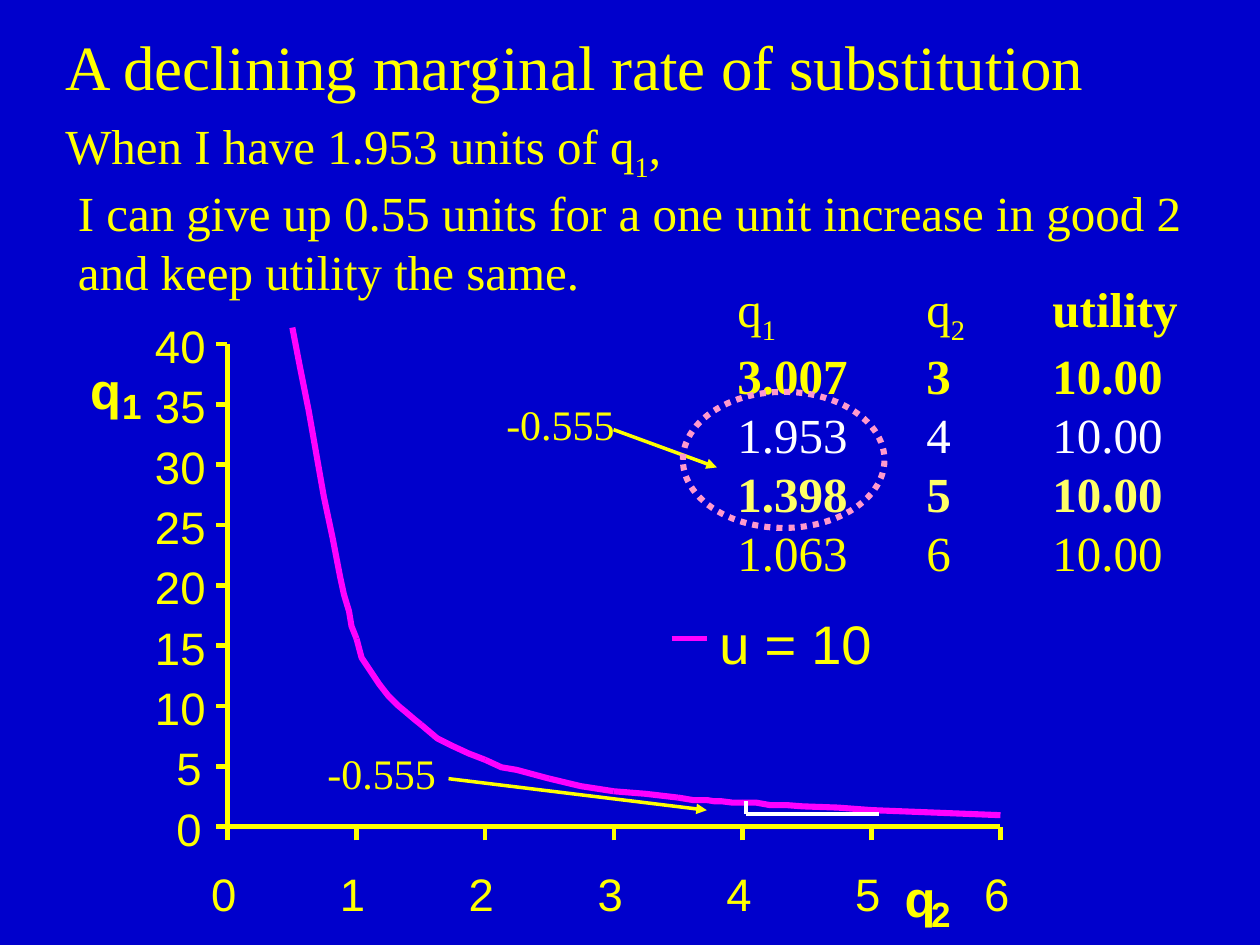
from lxml import etree
from pptx import Presentation
from pptx import util as u
from pptx.dml.color import RGBColor
from pptx.enum import dml, shapes, text
from pptx.oxml.ns import qn

NAVY = RGBColor(0x00, 0x00, 0xCC)
YELLOW = RGBColor(0xFF, 0xFF, 0x00)
PALE_YELLOW = RGBColor(0xFF, 0xFF, 0x66)
WHITE = RGBColor(0xFF, 0xFF, 0xFF)
MAGENTA = RGBColor(0xFF, 0x00, 0xFF)
PINK = RGBColor(0xFF, 0x99, 0xCC)
SERIF, SANS = "Times New Roman", "Arial"

prs = Presentation()
prs.slide_width, prs.slide_height = u.Inches(10), u.Inches(7.5)
CELL = prs.slide_width // 100  # grid of 100 columns by 75 rows
s = prs.slides.add_slide(prs.slide_layouts[6])
s.background.fill.solid()
s.background.fill.fore_color.rgb = NAVY


def add_line(x1, y1, x2, y2, color, width, arrow=False):
    ends = [round(v * CELL) for v in (x1, y1, x2, y2)]
    sp = s.shapes.add_connector(shapes.MSO_CONNECTOR.STRAIGHT, *ends)
    sp.line.color.rgb = color
    sp.line.width = u.Pt(width)
    if arrow:
        etree.SubElement(sp.line._get_or_add_ln(), qn("a:tailEnd"), type="triangle")
    etree.SubElement(sp._element.spPr, qn("a:effectLst"))


def add_text(box, paragraphs, size, name=SERIF, inset=1, tabs=(), wrap=False):
    """Each paragraph is a list of (text, font values); "sub" marks a subscript."""
    sp = s.shapes.add_textbox(*[round(v * CELL) for v in box])
    tf = sp.text_frame
    frame = {"word_wrap": wrap, "auto_size": text.MSO_AUTO_SIZE.SHAPE_TO_FIT_TEXT,
             "margin_left": inset * CELL, "margin_right": inset * CELL,
             "margin_top": inset * CELL // 2, "margin_bottom": inset * CELL // 2}
    for key, value in frame.items():
        setattr(tf, key, value)
    for i, runs in enumerate(paragraphs):
        p = tf.add_paragraph() if i else tf.paragraphs[0]
        if tabs:
            tab_list = etree.SubElement(p._p.get_or_add_pPr(), qn("a:tabLst"))
            for pos in tabs:
                etree.SubElement(tab_list, qn("a:tab"), pos=str(pos * CELL), algn="l")
        for words, values in runs:
            r = p.add_run()
            r.text = words
            look = {"size": u.Pt(size), "name": name, "bold": False, **values}
            r.font.color.rgb = look.pop("color", YELLOW)
            if look.pop("sub", False):
                r._r.get_or_add_rPr().set("baseline", "-25000")
            for key, value in look.items():
                setattr(r.font, key, value)
    return tf


# Axes: q2 runs 0 to 6 across, q1 runs 0 to 40 upwards
LEFT, RIGHT, TOP, BASE = 18.05, 79.4, 27.3, 65.6
X_STEP, Y_STEP = (RIGHT - LEFT) / 6, (BASE - TOP) / 8
add_line(LEFT, TOP, LEFT, BASE, YELLOW, 2.64)
add_line(LEFT, BASE, RIGHT, BASE, YELLOW, 2.64)
for i in range(9):
    y = BASE - i * Y_STEP
    label = str(i * 5)
    add_line(LEFT - 0.9, y, LEFT, y, YELLOW, 2.64)
    add_text((15.7 - 1.7 * len(label), y - 2.05, 2.1 * len(label), 4.3),
             [[(label, {})]], 26, SANS, 0)
for i in range(7):
    x = LEFT + i * X_STEP
    add_line(x, BASE + 1.1, x, BASE, YELLOW, 2.64)
    add_text((x - 1.3, 68.75, 2.1, 4.3), [[(str(i), {})]], 26, SANS, 0)

# Axis titles
for x, y, gap, index in ((71.8, 68.75, 2.1, "2"), (7.15, 28.5, 2.55, "1")):
    add_text((x, y, 2.5, 4.8), [[("q", {"bold": True})]], 29, SANS, 0)
    add_text((x + gap, y + 2.05, 1.6, 3.3), [[(index, {"bold": True})]], 20, SANS, 0)

# Indifference curve, piece by piece, each starting where the last one ended
CURVE = [
    [(23.8, 29.1), (24.5, 32.6), (25.1, 36), (25.7, 39.4), (26.4, 42.7),
     (27, 45.8), (27.3, 47.2), (27.7, 48.5), (27.9, 49.7), (28.3, 50.7)],
    [(28.7, 52.2), (29.5, 53.4), (30.1, 54.3), (30.8, 55.2), (31.6, 56),
     (32.2, 56.5), (32.9, 57.1), (33.4, 57.5)],
    [(34.7, 58.6), (35.9, 59.2), (37.2, 59.8), (38.5, 60.3)],
    [(39.8, 60.9), (41, 61.1), (43.6, 61.8)],
    [(46.1, 62.4), (48.7, 62.8)],
    [(51.2, 63), (53.8, 63.3)],
    [(55, 63.5), (56.1, 63.5), (56.7, 63.6), (57.3, 63.6), (58.1, 63.7), (58.9, 63.7)],
    [(60, 63.7), (61.1, 63.9), (62.4, 63.9), (63.7, 64), (66.5, 64.1), (69.2, 64.3)],
    [(74.3, 64.5), (79.4, 64.7)],
]
start = (23.2, 26)
for piece in CURVE:
    points = [(round(x * CELL), round(y * CELL)) for x, y in [start, *piece]]
    fb = s.shapes.build_freeform(*points[0])
    fb.add_line_segments(points[1:], close=False)
    sp = fb.convert_to_shape()
    sp.shadow.inherit = False
    sp.fill.background()
    sp.line.color.rgb = MAGENTA
    sp.line.width = u.Pt(3.5)
    start = piece[-1]

# Legend
add_line(53.3, 50.7, 56.1, 50.7, MAGENTA, 2.64)
add_text((57.1, 48.4, 12.1, 5.2), [[("u = 10", {})]], 31, SANS, 0)

# Title, utility figures and explanation
add_text((4.2, 1.7, 83.2, 7), [[("A declining marginal rate of substitution", {})]], 36)
SUB, BOLD = {"sub": True}, {"bold": True}
add_text((57.55, 21.65, 42, 25), [
    [("q", {}), ("1\t", SUB), ("q", {}), ("2\t", SUB), ("utility", BOLD)],
    [("3.007\t3\t10.00", BOLD)],
    [("1.953\t4\t10.00", {"color": WHITE})],
    [("1.398\t5\t10.00", {"color": PALE_YELLOW, "bold": True})],
    [("1.063\t6\t10.00", {})],
], 28, tabs=(15, 25), wrap=True)
tf = add_text((4.2, 8.7, 92, 15.7), [
    [("When I have 1.953 units of q", {}), ("1", SUB), (",", {})],
    [("I can give up 0.55 units for a one unit increase in good 2", {})],
    [("and keep utility the same.", {})],
], 28, wrap=True)
for p in tf.paragraphs[1:]:
    p._p.get_or_add_pPr().set("marL", str(CELL))

# One-unit step along the curve
add_line(59.2, 64.6, 69.8, 64.6, WHITE, 2.5)
add_line(59.2, 64.6, 59.2, 63.6, WHITE, 2.5)

# Slope callouts
for x, y, arrow in ((25, 58.8, (35.6, 61.8, 56.1, 64.3)),
                    (39.2, 31.1, (48.7, 34.1, 56.9, 37.1))):
    add_text((x, y, 10.6, 5), [[("-0.555", {})]], 24)
    add_line(*arrow, YELLOW, 2, arrow=True)

sp = s.shapes.add_shape(shapes.MSO_SHAPE.OVAL,
                        *[round(v * CELL) for v in (54.2, 31.1, 16, 10.8)])
sp.shadow.inherit = False
sp.fill.background()
sp.line.color.rgb = PINK
sp.line.width = u.Pt(3.5)
sp.line.dash_style = dml.MSO_LINE.ROUND_DOT

prs.save("out.pptx")
